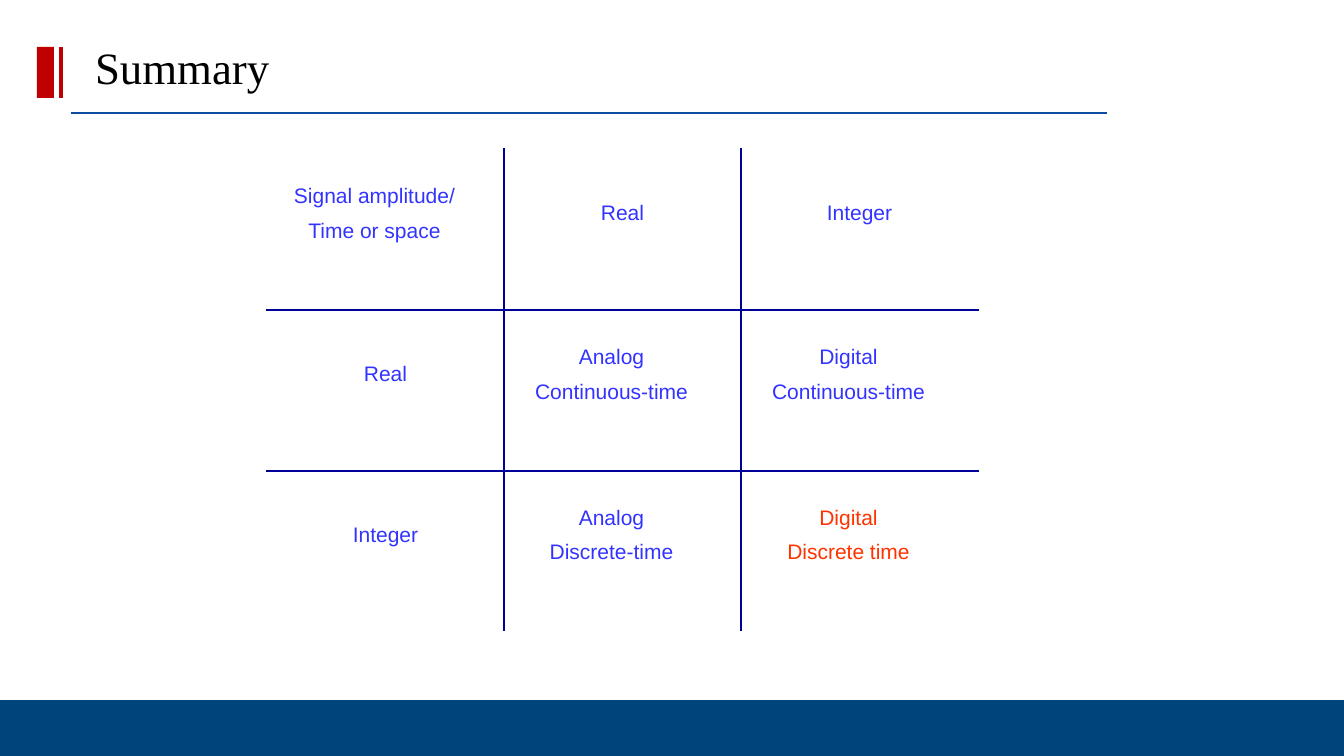
from lxml.etree import SubElement
from pptx import Presentation
from pptx.dml.color import RGBColor
from pptx.enum.shapes import MSO_CONNECTOR, MSO_SHAPE
from pptx.enum.text import MSO_ANCHOR, PP_ALIGN
from pptx.oxml.ns import qn
from pptx.util import Emu, Pt

EMU_PER_PX = 914400 / 100.8
SLIDE_WIDTH, SLIDE_HEIGHT = 1344, 756
COLUMN_WIDTH, ROW_HEIGHT = 237, 161
GRID_COLOR = "000099"
TEXT_COLOR = "3333FF"
HIGHLIGHT_COLOR = "FF3300"

SIGNAL_CLASSES = [
    [["Signal amplitude/", "Time or space"], ["Real"], ["Integer"]],
    [["Real"], ["Analog", "Continuous-time"], ["Digital", "Continuous-time"]],
    [["Integer"], ["Analog", "Discrete-time"], ["Digital", "Discrete time"]],
]


def px(length):
    return Emu(round(length * EMU_PER_PX))


def color(hex_value):
    return RGBColor.from_string(hex_value)


def style_font(font, name, size, hex_value):
    font.name = name
    font.size = Pt(size)
    font.color.rgb = color(hex_value)


def add_bar(slide, left, top, width, height, hex_value):
    bar = slide.shapes.add_shape(
        MSO_SHAPE.RECTANGLE, px(left), px(top), px(width), px(height))
    bar.shadow.inherit = False
    bar.fill.solid()
    bar.fill.fore_color.rgb = color(hex_value)
    bar.line.fill.background()


def add_rule(slide, x1, y1, x2, y2, hex_value, weight):
    rule = slide.shapes.add_connector(
        MSO_CONNECTOR.STRAIGHT, px(x1), px(y1), px(x2), px(y2))
    rule.line.color.rgb = color(hex_value)
    rule.line.width = Pt(weight)
    SubElement(rule._element.spPr, qn("a:effectLst"))


def add_title(slide, text, left, top, width, height):
    frame = slide.shapes.add_textbox(
        px(left), px(top), px(width), px(height)).text_frame
    frame.margin_left = frame.margin_right = 0
    frame.margin_top = frame.margin_bottom = 0
    frame.word_wrap = True
    frame.vertical_anchor = MSO_ANCHOR.BOTTOM
    heading = frame.paragraphs[0]
    heading.text = text
    style_font(heading.font, "Times New Roman", 32, "000000")


def add_border(cell, side):
    border = SubElement(
        cell._tc.get_or_add_tcPr(), qn(f"a:ln{side}"), w=str(Pt(1)))
    fill = SubElement(border, qn("a:solidFill"))
    SubElement(fill, qn("a:srgbClr"), val=GRID_COLOR)


def fill_cell(cell, lines, hex_value):
    cell.margin_left = cell.margin_top = 0
    cell.margin_right = px(22 if len(lines) > 1 else 0)
    cell.margin_bottom = px(32)
    cell.vertical_anchor = MSO_ANCHOR.MIDDLE
    cell.text = "\n".join(lines)
    for index, paragraph in enumerate(cell.text_frame.paragraphs):
        paragraph.alignment = PP_ALIGN.CENTER
        paragraph.space_before = Pt(8 if index else 0)
        style_font(paragraph.font, "Arial", 15, hex_value)


def add_signal_table(slide, left, top):
    row_count, column_count = len(SIGNAL_CLASSES), len(SIGNAL_CLASSES[0])
    table = slide.shapes.add_table(
        row_count, column_count, px(left), px(top),
        px(COLUMN_WIDTH * column_count), px(ROW_HEIGHT * row_count)).table
    table.first_row = False
    table.horz_banding = False
    for column in table.columns:
        column.width = px(COLUMN_WIDTH)
    last_row, last_column = row_count - 1, column_count - 1
    for r, signal_row in enumerate(SIGNAL_CLASSES):
        table.rows[r].height = px(ROW_HEIGHT)
        for c, lines in enumerate(signal_row):
            cell = table.cell(r, c)
            is_highlight = (r, c) == (last_row, last_column)
            fill_cell(cell, lines, HIGHLIGHT_COLOR if is_highlight else TEXT_COLOR)
            inner_sides = {"L": c > 0, "R": c < last_column,
                           "T": r > 0, "B": r < last_row}
            for side, is_inner in inner_sides.items():
                if is_inner:
                    add_border(cell, side)
            cell.fill.background()


def main():
    presentation = Presentation()
    presentation.slide_width = px(SLIDE_WIDTH)
    presentation.slide_height = px(SLIDE_HEIGHT)
    slide = presentation.slides.add_slide(presentation.slide_layouts[6])
    add_bar(slide, 0, 700, SLIDE_WIDTH, 56, "00447C")
    add_rule(slide, 71, 113, 1107, 113, "0B4DA2", 1.5)
    add_bar(slide, 37, 47, 17, 51, "C00000")
    add_rule(slide, 61, 47, 61, 98, "C00000", 3)
    add_title(slide, "Summary", 95, 37, 251, 56)
    add_signal_table(slide, 267, 149)
    presentation.save("out.pptx")


if __name__ == "__main__":
    main()
